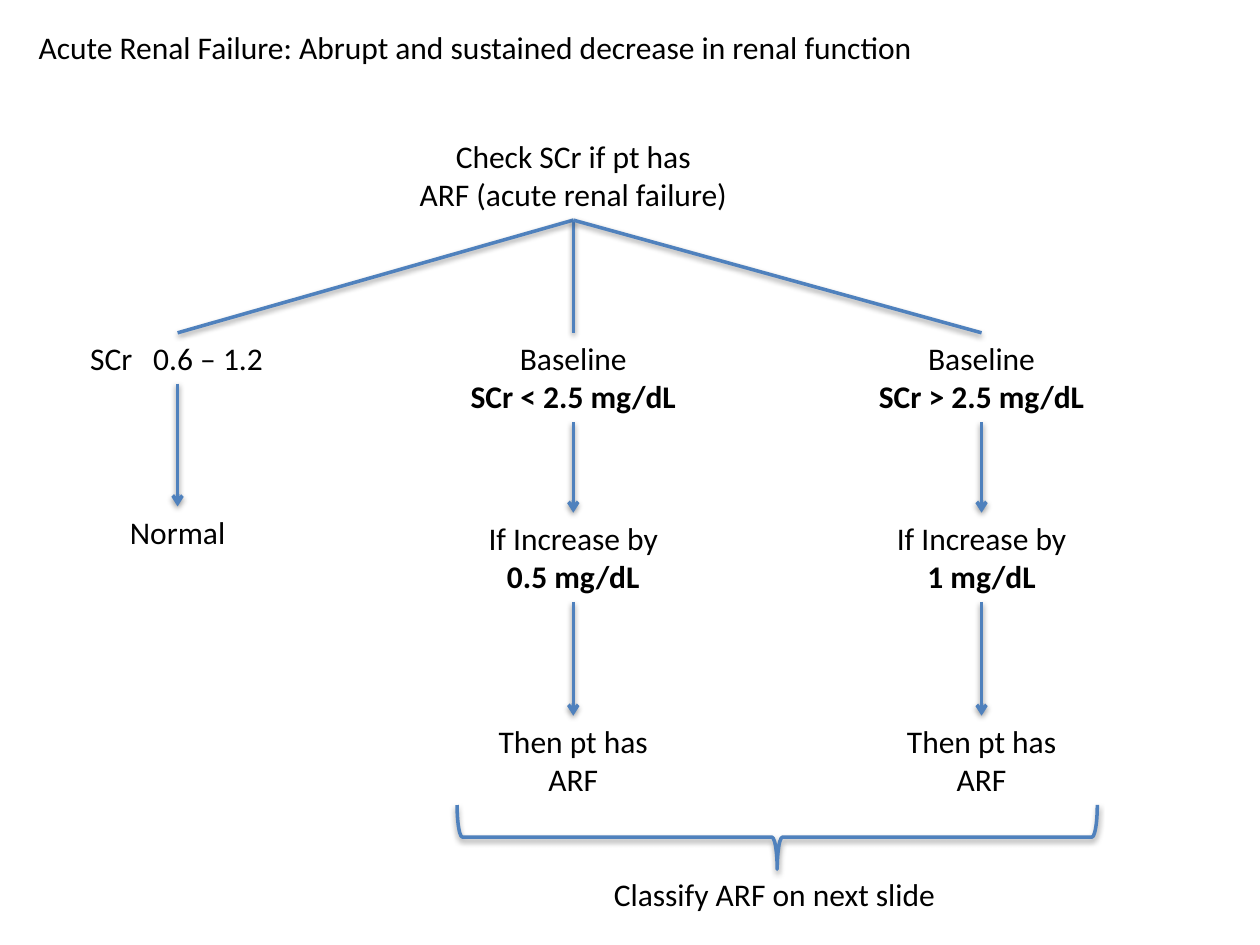
from lxml import etree
from pptx import Presentation
from pptx.dml import color
from pptx.enum import shapes, text
from pptx.oxml import ns
from pptx.util import Pt

BLUE = "4F81BD"
BLACK = "000000"
ONE_LINE, TWO_LINES = 29, 51
ROOT_CENTER, ROOT_TOP, BRANCH_TOP = 327.6, 74.8, 190.2
LEFT, CENTER = text.PP_ALIGN.LEFT, text.PP_ALIGN.CENTER


def rgb(value):
    """Turn a hex string into a colour."""
    return color.RGBColor.from_string(value)


def add_child(parent, tag, **attributes):
    """Append a drawing element with the given attributes."""
    names = {key: str(value) for key, value in attributes.items()}
    return etree.SubElement(parent, ns.qn(tag), names)


def style_line(shape, arrow=False):
    """Give a shape a blue outline, a soft shadow and an optional arrowhead."""
    shape.line.color.rgb = rgb(BLUE)
    shape.line.width = Pt(2)
    properties = shape._element.spPr
    if arrow:
        add_child(properties.find(ns.qn("a:ln")), "a:tailEnd", type="arrow")
    effects = add_child(properties, "a:effectLst")
    shadow = add_child(effects, "a:outerShdw", blurRad=Pt(3.15), dist=Pt(1.57),
                       dir=5400000, rotWithShape=0)
    shade = add_child(shadow, "a:srgbClr", val=BLACK)
    add_child(shade, "a:alpha", val=38000)


def add_line(slide, start, end, arrow=False):
    """Draw a straight connector between two points."""
    line = slide.shapes.add_connector(
        shapes.MSO_CONNECTOR.STRAIGHT, *map(Pt, (*start, *end)))
    style_line(line, arrow)


def add_label(slide, box, lines, bold_last=False, alignment=CENTER, tab=None):
    """Write one paragraph per line into a box."""
    frame = slide.shapes.add_textbox(*map(Pt, box)).text_frame
    frame.word_wrap = False
    for index, line in enumerate(lines):
        paragraph = frame.add_paragraph() if index else frame.paragraphs[0]
        paragraph.alignment = alignment
        if tab:
            stops = add_child(paragraph._p.get_or_add_pPr(), "a:tabLst")
            add_child(stops, "a:tab", pos=Pt(tab), algn="l")
        run = paragraph.add_run()
        run.text = line
        run.font.name = "Calibri"
        run.font.size = Pt(18)
        run.font.color.rgb = rgb(BLACK)
        run.font.bold = bold_last and index == len(lines) - 1


def add_root(slide, center, top, branch_centers, branch_top):
    """Place the first check and the lines that fan out from it."""
    width = 193
    add_label(slide, (center - width / 2, top, width, TWO_LINES),
              ["Check SCr if pt has", "ARF (acute renal failure)"])
    for branch_center in branch_centers:
        add_line(slide, (center, top + TWO_LINES), (branch_center, branch_top))


def add_normal_branch(slide, center, top):
    """Place the normal range and its outcome."""
    drop = 99.2
    add_label(slide, (center - 57, top, 114, ONE_LINE), ["SCr\t0.6 – 1.2"],
              alignment=LEFT, tab=36)
    add_line(slide, (center, top + ONE_LINE), (center, top + drop), arrow=True)
    add_label(slide, (center - 35, top + drop, 70, ONE_LINE), ["Normal"])


def add_failure_branch(slide, center, top, baseline, increase):
    """Place a column of three steps joined by arrows."""
    steps = [
        (0, 132, ["Baseline", baseline], True),
        (102.8, 112, ["If Increase by", increase], True),
        (218.8, 101, ["Then pt has", "ARF"], False),
    ]
    for offset, width, lines, bold_last in steps:
        add_label(slide, (center - width / 2, top + offset, width, TWO_LINES),
                  lines, bold_last)
    for upper, lower in zip(steps, steps[1:]):
        add_line(slide, (center, top + upper[0] + TWO_LINES),
                 (center, top + lower[0]), arrow=True)


def add_conclusion(slide, left, top, width):
    """Place the brace under the failure columns and its caption."""
    depth, caption_width = 36.7, 200
    center = left + width / 2
    brace = slide.shapes.add_shape(
        shapes.MSO_SHAPE.LEFT_BRACE, Pt(center - depth / 2),
        Pt(top + depth / 2 - width / 2), Pt(depth), Pt(width))
    brace.rotation = 270
    brace.fill.background()
    style_line(brace)
    add_label(slide, (center - caption_width / 2 - 1.5, top + depth,
                      caption_width, ONE_LINE), ["Classify ARF on next slide"])


def main():
    """Build and save the slide."""
    presentation = Presentation()
    presentation.slide_width, presentation.slide_height = Pt(720), Pt(540)
    slide = presentation.slides.add_slide(presentation.slide_layouts[6])
    normal_center, high_center = 101.5, 560.9
    add_label(slide, (15, 12.4, 520, ONE_LINE),
              ["Acute Renal Failure: Abrupt and sustained decrease in renal function"],
              alignment=LEFT)
    add_root(slide, ROOT_CENTER, ROOT_TOP,
             (normal_center, ROOT_CENTER, high_center), BRANCH_TOP)
    add_normal_branch(slide, normal_center, BRANCH_TOP)
    add_failure_branch(slide, ROOT_CENTER, BRANCH_TOP, "SCr < 2.5 mg/dL", "0.5 mg/dL")
    add_failure_branch(slide, high_center, BRANCH_TOP, "SCr > 2.5 mg/dL", "1 mg/dL")
    add_conclusion(slide, 261.2, 460, 365.8)
    presentation.save("out.pptx")


if __name__ == "__main__":
    main()
